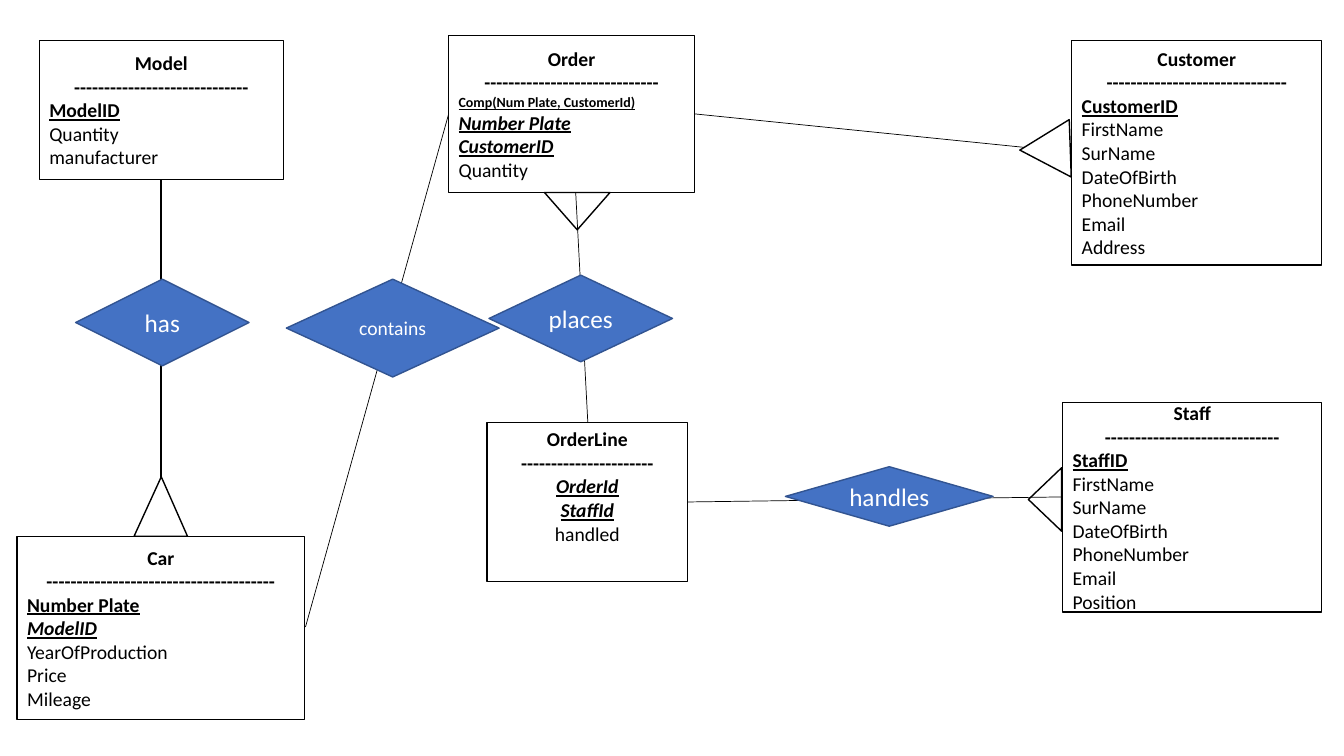
import pptx
import pptx.dml.color
import pptx.enum.shapes
import pptx.enum.text
import pptx.oxml.ns
import pptx.util
from lxml import etree

Inches = pptx.util.Inches
Pt = pptx.util.Pt
SHAPES = pptx.enum.shapes.MSO_SHAPE
ALIGN = pptx.enum.text.PP_ALIGN
ANCHOR = pptx.enum.text.MSO_ANCHOR
COLOURS = {"ink": "000000", "paper": "FFFFFF", "relation": "4472C4", "edge": "325491"}
KEY = {"bold": True, "underline": True}
FOREIGN_KEY = {**KEY, "italic": True}


def colour(name):
    return pptx.dml.color.RGBColor.from_string(COLOURS[name])


def write(para, text, size=14, ink="ink", align=ALIGN.LEFT, **styles):
    para.alignment = align
    span = para.add_run()
    span.text = text
    span.font.name = "Calibri"
    span.font.size = Pt(size)
    span.font.color.rgb = colour(ink)
    for style, value in styles.items():
        setattr(span.font, style, value)


class Diagram:
    def __init__(self, page):
        self.page = page

    def shape(self, kind, left, top, width, height, fill="paper", edge="ink"):
        box = self.page.shapes.add_shape(
            kind, Inches(left), Inches(top), Inches(width), Inches(height))
        box.shadow.inherit = False
        box.fill.solid()
        box.fill.fore_color.rgb = colour(fill)
        box.line.color.rgb = colour(edge)
        box.line.width = Pt(1)
        box.text_frame.word_wrap = True
        return box

    def entity(self, name, dashes, fields, place, align=ALIGN.LEFT, anchor=ANCHOR.MIDDLE):
        frame = self.shape(SHAPES.RECTANGLE, *place).text_frame
        frame.vertical_anchor = anchor
        write(frame.paragraphs[0], name, align=ALIGN.CENTER, bold=True)
        write(frame.add_paragraph(), "-" * dashes, align=ALIGN.CENTER, bold=True)
        for text, styles in fields:
            write(frame.add_paragraph(), text, align=align, **styles)

    def relation(self, name, place, size=18):
        frame = self.shape(SHAPES.FLOWCHART_DECISION, *place, "relation", "edge").text_frame
        frame.vertical_anchor = ANCHOR.MIDDLE
        write(frame.paragraphs[0], name, size=size, ink="paper", align=ALIGN.CENTER)

    def many_end(self, place, rotation=0, apex=0.5):
        triangle = self.shape(SHAPES.ISOSCELES_TRIANGLE, *place)
        triangle.adjustments[0] = apex
        triangle.rotation = rotation

    def link(self, start, end, width=0.5):
        line = self.page.shapes.add_connector(
            pptx.enum.shapes.MSO_CONNECTOR.STRAIGHT, *map(Inches, start + end))
        line.line.color.rgb = colour("ink")
        line.line.width = Pt(width)
        etree.SubElement(line._element.spPr, pptx.oxml.ns.qn("a:effectLst"))


def plain(*names):
    return [(name, {}) for name in names]


deck = pptx.Presentation()
deck.slide_width, deck.slide_height = Inches(13.33), Inches(7.5)
diagram = Diagram(deck.slides.add_slide(deck.slide_layouts[6]))
person = plain("FirstName", "SurName", "DateOfBirth", "PhoneNumber", "Email")

# Entities
diagram.entity("Model", 29, [("ModelID", KEY)] + plain("Quantity", "manufacturer"),
               (0.39, 0.4, 2.42, 1.38))
diagram.entity("Car", 38, [("Number Plate", KEY), ("ModelID", FOREIGN_KEY)]
               + plain("YearOfProduction", "Price", "Mileage"), (0.17, 5.32, 2.85, 1.82))
diagram.entity("Order", 29, [("Comp(Num Plate, CustomerId)", {**KEY, "size": 10}),
                             ("Number Plate", FOREIGN_KEY), ("CustomerID", FOREIGN_KEY)]
               + plain("Quantity"), (4.45, 0.35, 2.44, 1.56))
diagram.entity("Customer", 30, [("CustomerID", KEY)] + person + plain("Address"),
               (10.63, 0.4, 2.48, 2.23))
diagram.entity("Staff", 29, [("StaffID", KEY)] + person + plain("Position"),
               (10.54, 3.99, 2.57, 2.08))
diagram.entity("OrderLine", 22, [("OrderId", FOREIGN_KEY), ("StaffId", FOREIGN_KEY)]
               + plain("handled"), (4.83, 4.19, 1.99, 1.58), ALIGN.CENTER, ANCHOR.TOP)

# Links that run behind the "many" ends
diagram.link((1.6, 1.78), (1.6, 5.32), width=1.5)
diagram.link((3.03, 6.22), (4.45, 1.13))
diagram.link((6.89, 1.13), (10.63, 1.51))

# "Many" ends at Car, Customer, Order and Staff
diagram.many_end((1.33, 4.73, 0.53, 0.59), apex=0.51)
diagram.many_end((10.08, 1.23, 0.57, 0.5), rotation=268)
diagram.many_end((5.4, 1.91, 0.65, 0.37), rotation=180)
diagram.many_end((10.05, 4.79, 0.63, 0.33), rotation=270)

# Links that run across the "many" ends
diagram.link((6.82, 4.98), (10.53, 4.93))
diagram.link((5.71, 1.91), (5.83, 4.19))

# Relations
diagram.relation("has", (0.75, 2.77, 1.72, 0.86))
diagram.relation("contains", (2.84, 2.77, 2.11, 0.97), size=14)
diagram.relation("handles", (7.79, 4.63, 2.06, 0.59))
diagram.relation("places", (4.85, 2.73, 1.82, 0.86))

deck.save("out.pptx")
